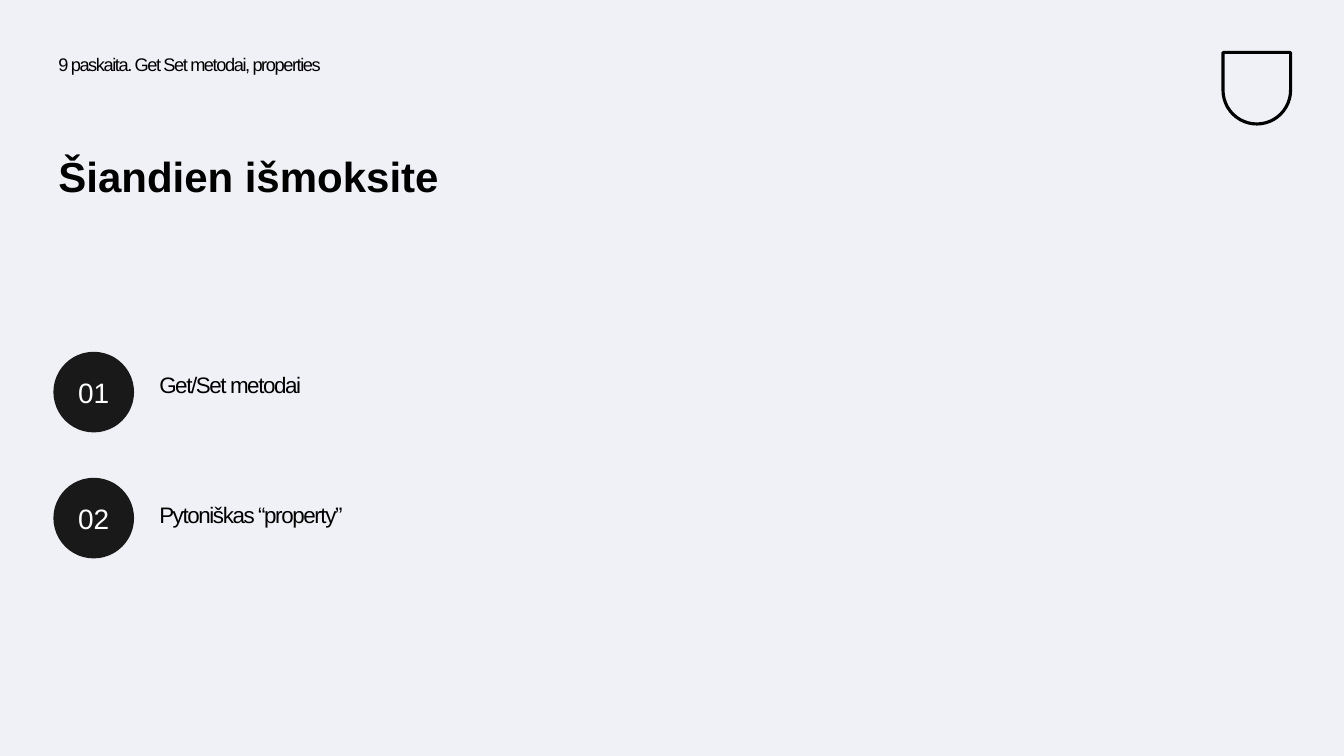
from pptx import Presentation
from pptx import util as u
from pptx.dml.color import RGBColor
from pptx.enum import shapes, text

BLACK = "000000"
TOPICS = [("01", "Get/Set metodai", 0.17), ("02", "Pytoniškas “property”", 0.21)]


def paint(color_format, value):
    """Set a fill or font colour from a hex string."""
    color_format.rgb = RGBColor.from_string(value)


def write(frame, words, size, color=BLACK, bold=False, tracking=0):
    """Write one run into a text frame and return its paragraph."""
    frame.word_wrap = True
    frame.margin_left = frame.margin_right = u.Inches(0.05)
    frame.margin_top = frame.margin_bottom = u.Inches(0.05)
    line = frame.paragraphs[0]
    run = line.add_run()
    run.text = words
    run.font.name = "Arial"
    run.font.size = u.Pt(size)
    run.font.bold = bold
    paint(run.font.color, color)
    if tracking:
        run._r.get_or_add_rPr().set("spc", str(tracking))
    return line


def add_text(slide, left, top, width, height, words, size, before=0, **style):
    """Place a left-aligned text box."""
    box = slide.shapes.add_textbox(*map(u.Inches, (left, top, width, height)))
    line = write(box.text_frame, words, size, **style)
    line.line_spacing = 0.9
    line.space_before = u.Pt(before)


def add_heading(slide, left, top):
    """Place the lecture name with the slide title below it."""
    add_text(slide, left, top, 6.14, 0.5, "9 paskaita. Get Set metodai, properties",
             13, before=10, tracking=-100)
    add_text(slide, left, top + 1, 5.63, 0.56, "Šiandien išmoksite", 30, bold=True)


def add_emblem(slide, left, top, width, height):
    """Place a plain shield outline."""
    shield = slide.shapes.add_shape(shapes.MSO_SHAPE.ROUND_2_SAME_RECTANGLE,
                                    *map(u.Inches, (left, top, width, height)))
    shield.adjustments[0] = 0.5
    shield.rotation = 180
    shield.shadow.inherit = False
    shield.fill.background()
    shield.line.width = u.Pt(2.25)
    paint(shield.line.color, BLACK)


def add_topic(slide, left, top, number, topic, drop):
    """Place a numbered disc with its topic to the right."""
    disc = slide.shapes.add_shape(shapes.MSO_SHAPE.OVAL, u.Inches(left), u.Inches(top),
                                  u.Inches(0.8), u.Inches(0.8))
    disc.shadow.inherit = False
    disc.fill.solid()
    paint(disc.fill.fore_color, "191919")
    disc.line.fill.background()
    disc.text_frame.vertical_anchor = text.MSO_ANCHOR.MIDDLE
    write(disc.text_frame, number, 20, "FEFFFF").alignment = text.PP_ALIGN.CENTER
    add_text(slide, left + 1, top + drop, 4.63, 0.39, topic, 16, before=10, tracking=-100)


def add_topics(slide, left, top, pitch):
    """Stack the topics at an equal pitch."""
    for row, topic in enumerate(TOPICS):
        add_topic(slide, left, top + row * pitch, *topic)


def main():
    """Build and save the slide."""
    deck = Presentation()
    deck.slide_width, deck.slide_height = u.Inches(13.33), u.Inches(7.5)
    slide = deck.slides.add_slide(deck.slide_layouts[6])
    slide.background.fill.solid()
    paint(slide.background.fill.fore_color, "F0F1F6")
    add_emblem(slide, 12.13, 0.52, 0.67, 0.71)
    add_heading(slide, 0.53, 0.5)
    add_topics(slide, 0.53, 3.49, 1.25)
    deck.save("out.pptx")


if __name__ == "__main__":
    main()
